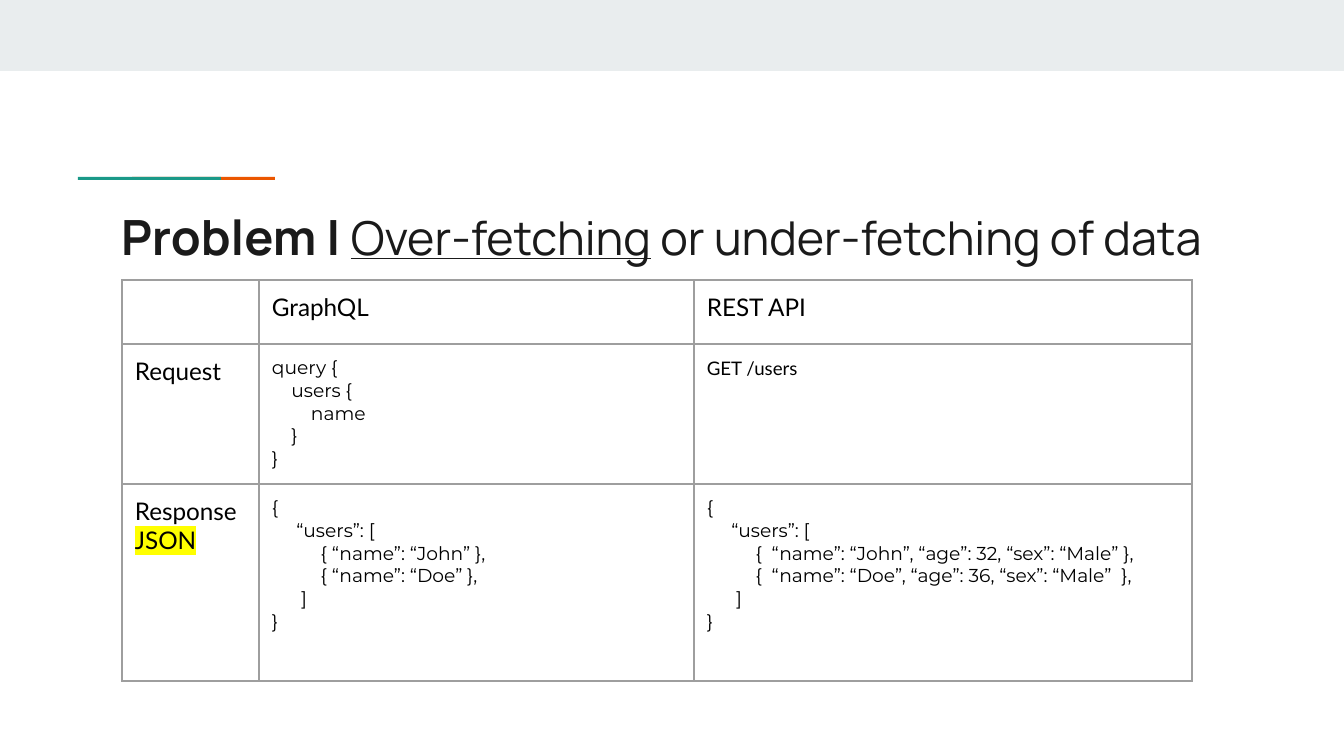
import dataclasses

import lxml.etree
import pptx
import pptx.dml.color
import pptx.enum.shapes
import pptx.enum.text
import pptx.oxml.ns
import pptx.util

EMU_PER_PX = 914400 / 134.4


@dataclasses.dataclass(frozen=True)
class Theme:
    band: str = "E9EDEE"
    teal: str = "1A9988"
    orange: str = "EB5600"
    heading: str = "1A1A1A"
    body: str = "000000"
    border: str = "9E9E9E"
    marker: str = "FFFF00"
    heading_font: str = "Manrope"
    label_font: str = "Lato"
    code_font: str = "Montserrat"
    lead_size: int = 26
    heading_size: int = 25
    label_size: int = 13
    code_size: int = 10
    border_width: float = 0.75
    inset: int = 13


THEME = Theme()
LABEL = dict(font=THEME.label_font, size=THEME.label_size)
CODE = dict(font=THEME.code_font, size=THEME.code_size)
ENDPOINT = dict(font=THEME.label_font, size=THEME.code_size)

QUERY = """query {
    users {
        name
    }
}"""
GRAPHQL_RESPONSE = """{
     “users”: [
          { “name”: “John” },
          { “name”: “Doe” },
      ]
}"""
REST_RESPONSE = """{
     “users”: [
          {  “name”: “John”, “age”: 32, “sex”: “Male” },
          {  “name”: “Doe”, “age”: 36, “sex”: “Male”  },
      ]
}"""

COMPARISON = [
    [[], [("GraphQL", LABEL)], [("REST API", LABEL)]],
    [[("Request", LABEL)], [(QUERY, CODE)], [("GET /users", ENDPOINT)]],
    [
        [("Response", LABEL), ("JSON", dict(LABEL, highlight=THEME.marker))],
        [(GRAPHQL_RESPONSE, CODE)],
        [(REST_RESPONSE, CODE)],
    ],
]


def px(length):
    return pptx.util.Emu(round(length * EMU_PER_PX))


def rgb(value):
    return pptx.dml.color.RGBColor.from_string(value)


def add_xml(parent, tag, **attributes):
    return lxml.etree.SubElement(parent, pptx.oxml.ns.qn(tag), attributes)


def write(paragraph, text, font, size, color=THEME.body, bold=False,
          underline=False, highlight=None):
    for index, line in enumerate(text.split("\n")):
        if index:
            paragraph.add_line_break()
        run = paragraph.add_run()
        run.text = line
        run.font.size = pptx.util.Pt(size)
        run.font.bold = bold
        run.font.underline = underline
        run.font.color.rgb = rgb(color)
        if highlight:
            marker = add_xml(run.font._element, "a:highlight")
            add_xml(marker, "a:srgbClr", val=highlight)
        run.font.name = font


def set_insets(holder):
    for side in ("left", "top", "right", "bottom"):
        setattr(holder, f"margin_{side}", px(THEME.inset))


def add_bar(slide, left, top, width, height, color):
    bar = slide.shapes.add_shape(
        pptx.enum.shapes.MSO_SHAPE.RECTANGLE,
        px(left), px(top), px(width), px(height))
    bar.shadow.inherit = False
    bar.fill.solid()
    bar.fill.fore_color.rgb = rgb(color)
    bar.line.fill.background()


def add_accent(slide, left, top, width, height):
    bar_width = round(width * 0.725)
    add_bar(slide, left + width - bar_width, top, bar_width, height, THEME.orange)
    add_bar(slide, left, top, bar_width, height, THEME.teal)


def place_title(slide, left, top, width, height):
    title = slide.shapes.title
    title.left, title.top = px(left), px(top)
    title.width, title.height = px(width), px(height)
    frame = title.text_frame
    frame.word_wrap = True
    frame.auto_size = pptx.enum.text.MSO_AUTO_SIZE.NONE
    frame.vertical_anchor = pptx.enum.text.MSO_ANCHOR.TOP
    set_insets(frame)
    heading = frame.paragraphs[0]
    heading.alignment = pptx.enum.text.PP_ALIGN.LEFT
    style = dict(font=THEME.heading_font, color=THEME.heading)
    write(heading, "Problem | ", size=THEME.lead_size, bold=True, **style)
    write(heading, "Over-fetching", size=THEME.heading_size, underline=True, **style)
    write(heading, " or under-fetching of data", size=THEME.heading_size, **style)


def draw_borders(cell):
    properties = cell._tc.get_or_add_tcPr()
    width = str(pptx.util.Pt(THEME.border_width))
    for edge in ("a:lnL", "a:lnR", "a:lnT", "a:lnB"):
        line = add_xml(properties, edge, w=width)
        add_xml(add_xml(line, "a:solidFill"), "a:srgbClr", val=THEME.border)


def fill_cell(cell, passages):
    set_insets(cell)
    draw_borders(cell)
    cell.fill.background()
    frame = cell.text_frame
    if not passages:
        add_xml(frame.paragraphs[0]._p, "a:endParaRPr", sz=str(THEME.label_size * 100))
    for index, (text, style) in enumerate(passages):
        paragraph = frame.add_paragraph() if index else frame.paragraphs[0]
        write(paragraph, text, **style)


def add_comparison(slide, left, top, column_widths, row_heights):
    table = slide.shapes.add_table(
        len(row_heights), len(column_widths), px(left), px(top),
        px(sum(column_widths)), px(sum(row_heights))).table
    table.first_row = False
    table.horz_banding = False
    for column, width in zip(table.columns, column_widths):
        column.width = px(width)
    for row, height, contents in zip(table.rows, row_heights, COMPARISON):
        row.height = px(height)
        for cell, passages in zip(row.cells, contents):
            fill_cell(cell, passages)


def main():
    presentation = pptx.Presentation()
    presentation.slide_width, presentation.slide_height = px(1344), px(756)
    slide = presentation.slides.add_slide(presentation.slide_layouts[5])
    add_bar(slide, 0, 0, 1344, 71, THEME.band)
    add_accent(slide, 78, 177, 197, 3)
    place_title(slide, 108, 194, 1130, 79)
    add_comparison(slide, 122, 280, [137, 435, 498], [64, 140, 197])
    presentation.save("out.pptx")


if __name__ == "__main__":
    main()
